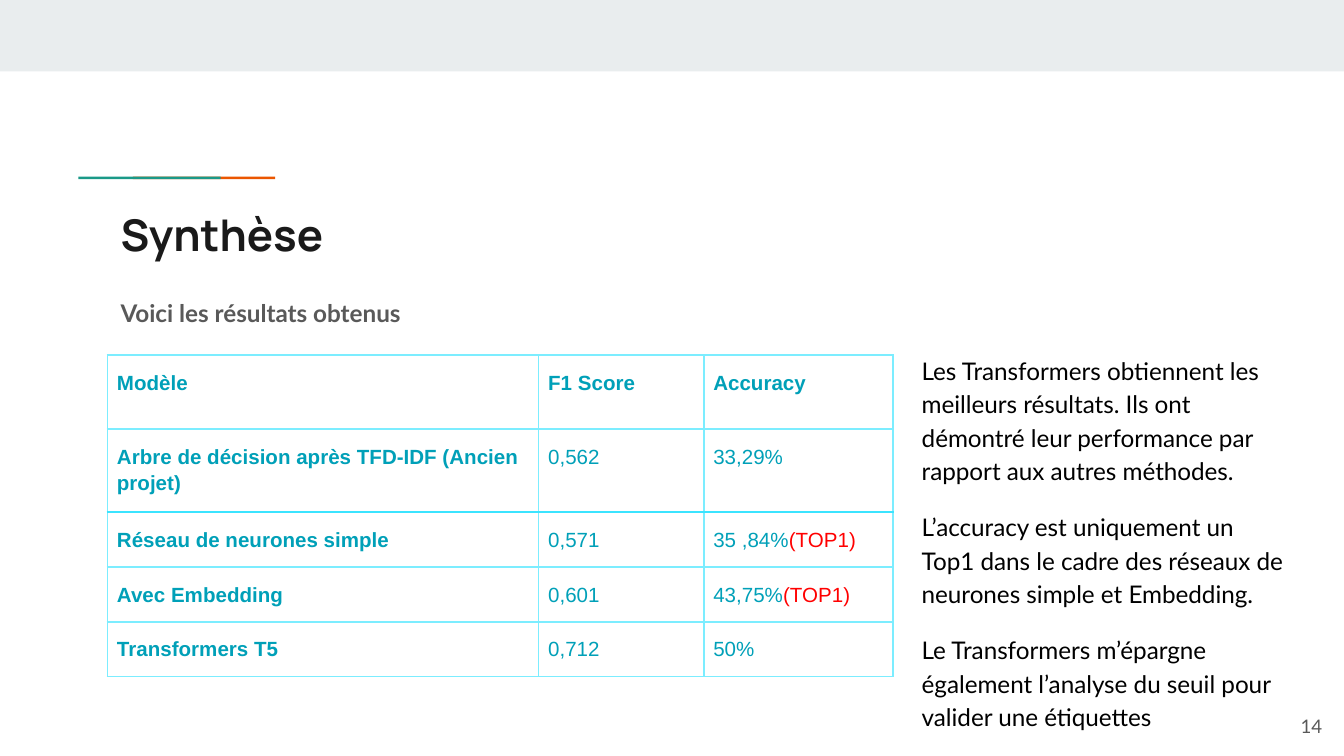
from lxml import etree
from pptx import Presentation, util as u
from pptx.dml.color import RGBColor
from pptx.enum import shapes, text
from pptx.oxml.ns import qn

TEAL, RED, GREY = "00A0B8", "FF0000", "595959"
PALE, BRIGHT = ("7CEDFF", 1), ("3BE4FF", 1.5)

# left, top, width, height in cm, then fill
BARS = [
    ((0, 0, 25.4, 1.35), "E9EDEE"),
    ((2.51, 3.34, 2.69, 0.05), "EB5600"),
    ((1.48, 3.34, 2.69, 0.05), "1A9988"),
]

BODY = {"line_spacing": 1.15}
CELL = {"line_spacing": 1.15, "space_before": u.Pt(12)}

TEXTS = [
    {"at": (2.03, 3.68, 21.36, 1.5), "lines": ["Synthèse"],
     "font": {"name": "Manrope", "size": 23.4, "bold": True, "color": "1A1A1A"}},
    {"at": (2.03, 5.31, 6.38, 1.09), "lines": ["Voici les résultats obtenus"],
     "font": {"name": "Lato", "size": 13, "bold": True, "color": GREY},
     "para": BODY | {"space_after": u.Pt(12)}},
    {"at": (23.72, 13.18, 1.52, 1.09), "lines": ["14"],
     "font": {"name": "Lato", "size": 10, "color": GREY},
     "para": {"alignment": text.PP_ALIGN.RIGHT},
     "anchor": text.MSO_ANCHOR.MIDDLE},
    {"at": (17.17, 6.4, 7.39, 7.67),
     "lines": [
         "Les Transformers obtiennent les meilleurs résultats. Ils ont démontré "
         "leur performance par rapport aux autres méthodes.",
         "L’accuracy est uniquement un Top1 dans le cadre des réseaux de "
         "neurones simple et Embedding.",
         "Le Transformers m’épargne également l’analyse du seuil pour valider "
         "une étiquettes"],
     "font": {"name": "Lato", "size": 13, "color": "000000"}, "para": CELL},
]

# A cell with two parts has its second part in red
ROWS = [
    [("Modèle",), ("F1 Score",), ("Accuracy",)],
    [("Arbre de décision après TFD-IDF (Ancien projet)",), ("0,562",), ("33,29%",)],
    [("Réseau de neurones simple",), ("0,571",), ("35 ,84%", "(TOP1)")],
    [("Avec Embedding",), ("0,601",), ("43,75%", "(TOP1)")],
    [("Transformers T5",), ("0,712",), ("50%",)],
]
ORIGIN = (2.03, 6.71)
WIDTHS = [8.15, 3.12, 3.58]
HEIGHTS = [1.4, 1.5, 0.97, 0.97, 0.97]
RULE = 2  # the bright line lies above this row


def rgb(code):
    return RGBColor.from_string(code)


def style(thing, values):
    for key, value in values.items():
        setattr(thing, key, value)


def add_run(para, words, name, size, color, bold=False):
    run = para.add_run()
    run.text = words
    style(run.font, {"name": name, "size": u.Pt(size), "bold": bold})
    run.font.color.rgb = rgb(color)


def add_bar(slide, at, fill):
    bar = slide.shapes.add_shape(shapes.MSO_SHAPE.RECTANGLE, *map(u.Cm, at))
    bar.shadow.inherit = False
    bar.fill.solid()
    bar.fill.fore_color.rgb = rgb(fill)
    bar.line.fill.background()


def add_text(slide, at, lines, font, para=None, anchor=text.MSO_ANCHOR.TOP):
    frame = slide.shapes.add_textbox(*map(u.Cm, at)).text_frame
    style(frame, {"word_wrap": True, "vertical_anchor": anchor})
    style(frame, {f"margin_{side}": u.Cm(0.25)
                  for side in ("left", "top", "right", "bottom")})
    for i, line in enumerate(lines):
        item = frame.add_paragraph() if i else frame.paragraphs[0]
        style(item, para or {})
        add_run(item, line, **font)


def add_edges(cell, edges):
    """Draw the borders, which must come before the fill in the cell's XML."""
    props = cell._tc.get_or_add_tcPr()
    for i, (side, (color, width)) in enumerate(edges.items()):
        line = etree.Element(qn(f"a:ln{side}"), w=str(u.Pt(width)))
        solid = etree.SubElement(line, qn("a:solidFill"))
        etree.SubElement(solid, qn("a:srgbClr"), val=color)
        props.insert(i, line)


def add_grid(slide):
    size = (sum(WIDTHS), sum(HEIGHTS))
    table = slide.shapes.add_table(
        len(ROWS), len(WIDTHS), *map(u.Cm, ORIGIN + size)).table
    style(table, {"first_row": False, "horz_banding": False})
    for col, width in zip(table.columns, WIDTHS):
        col.width = u.Cm(width)
    for r, (row, height) in enumerate(zip(ROWS, HEIGHTS)):
        table.rows[r].height = u.Cm(height)
        for c, parts in enumerate(row):
            cell = table.cell(r, c)
            cell.fill.background()
            style(cell, {"margin_left": u.Cm(0.18), "margin_right": u.Cm(0.18),
                         "margin_top": u.Cm(0.25), "margin_bottom": u.Cm(0.25)})
            add_edges(cell, {"L": PALE, "R": PALE,
                             "T": BRIGHT if r == RULE else PALE,
                             "B": BRIGHT if r == RULE - 1 else PALE})
            para = cell.text_frame.paragraphs[0]
            style(para, CELL)
            for words, color in zip(parts, (TEAL, RED)):
                add_run(para, words, "Arial", 11, color, r == 0 or c == 0)


def main():
    deck = Presentation()
    style(deck, {"slide_width": u.Cm(25.4), "slide_height": u.Cm(14.29)})
    slide = deck.slides.add_slide(deck.slide_layouts[6])
    for at, fill in BARS:
        add_bar(slide, at, fill)
    for item in TEXTS:
        add_text(slide, **item)
    add_grid(slide)
    deck.save("out.pptx")


if __name__ == "__main__":
    main()
